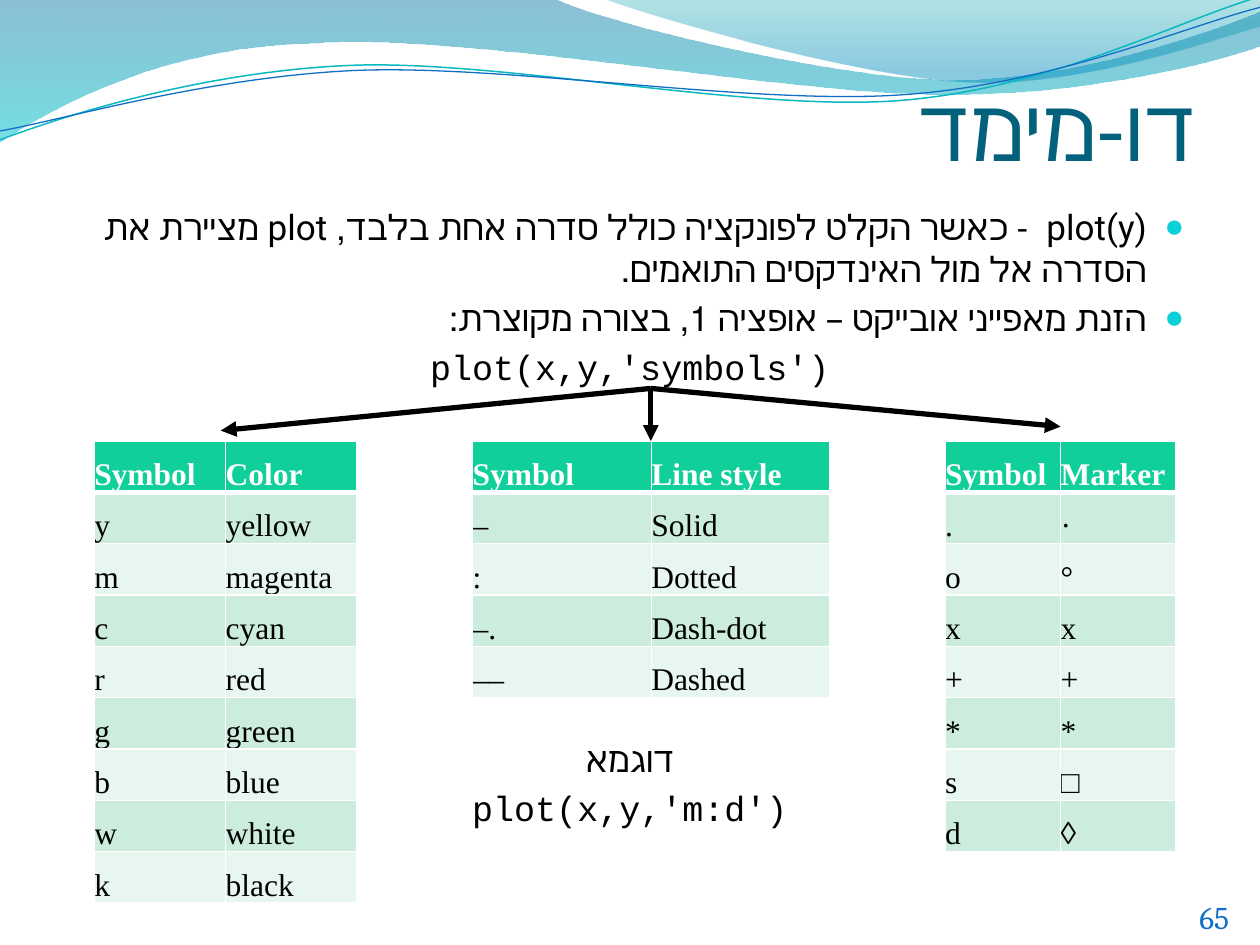
from dataclasses import dataclass

from lxml.etree import SubElement
from pptx import Presentation
from pptx.dml.color import RGBColor
from pptx.enum.shapes import MSO_CONNECTOR
from pptx.enum.text import MSO_ANCHOR, PP_ALIGN
from pptx.oxml.ns import qn
from pptx.util import Cm, Pt


@dataclass(frozen=True)
class Theme:
    """Colours, fonts and type sizes of the slide."""
    title: str = "04617B"
    text: str = "000000"
    bullet: str = "0BD0D9"
    number: str = "0F6FC6"
    teal_line: str = "0AB8BF"
    white: str = "FFFFFF"
    header: str = "10CF9B"
    bands: tuple = ("E7F6EF", "CCEDDE")
    broad_wave: tuple = ((0, "0074A1", 45), (1, "00C6CF", 55))
    right_wave: tuple = ((0, "00A1A9", 30), (0.8, "008BBF", 45))
    sans: str = "Roboto"
    mono: str = "Courier New"
    serif: str = "Times New Roman"
    number_font: str = "Cambria"
    title_size: int = 50
    body_size: int = 20
    small_size: int = 18


THEME = Theme()

BROAD_WAVE = [
    [(0, 0)], [(11.18, -0.03)],
    [(12.09, 0.43), (16.87, 1.6), (19.25, 1.6)],
    [(21.67, 1.6), (24.33, 0.66), (25.4, 0.23)],
    [(25.43, 0.91)],
    [(24.97, 1.12), (22.1, 1.93), (18.95, 1.9)],
    [(15.8, 1.9), (9.7, 0.71), (6.53, 0.86)],
    [(3.28, 0.91), (1.17, 2.11), (-0.03, 2.87)],
    [(0, 0)],
]
RIGHT_WAVE = [
    [(12.17, -0.03)],
    [(12.93, 0.28), (17.32, 1.57), (19.53, 1.65)],
    [(21.74, 1.75), (24.41, 0.81), (25.4, 0.53)],
    [(25.4, 0)], [(12.17, -0.03)],
]
TEAL_STRAND = [
    [(0, 2.82)],
    [(1.22, 2.36), (4.01, 1.45), (7.04, 1.32)],
    [(10.03, 1.19), (15.06, 2.26), (18.11, 2.03)],
    [(21.16, 1.8), (23.83, 0.38), (25.35, -0.05)],
]
BLUE_STRAND = [
    [(0, 2.64)],
    [(1.19, 2.44), (4.17, 1.55), (7.19, 1.42)],
    [(10.24, 1.3), (15.16, 2.13), (18.21, 1.91)],
    [(21.23, 1.7), (23.9, 0.53), (25.4, 0.15)],
]

COLORS = [("Symbol", "Color"), ("y", "yellow"), ("m", "magenta"), ("c", "cyan"),
          ("r", "red"), ("g", "green"), ("b", "blue"), ("w", "white"), ("k", "black")]
LINE_STYLES = [("Symbol", "Line style"), ("–", "Solid"), (":", "Dotted"),
               ("–.", "Dash-dot"), ("––", "Dashed")]
MARKERS = [("Symbol", "Marker"), (".", "·"), ("o", "°"), ("x", "x"),
           ("+", "+"), ("*", "*"), ("s", "□"), ("d", "◊")]


def rgb(color):
    """Turn a hex string into a colour."""
    return RGBColor.from_string(color)


def add_run(paragraph, text, font, size, color, bold=False):
    """Add one formatted run."""
    run = paragraph.add_run()
    run.text = text
    run.font.name, run.font.size, run.font.bold = font, Pt(size), bold
    run.font.color.rgb = rgb(color)


def add_outline(slide, outline, close):
    """Add a shadowless freeform, with each three-point part as a cubic curve."""
    start, *rest = [(Cm(x), Cm(y)) for part in outline for x, y in part]
    builder = slide.shapes.build_freeform(*start)
    builder.add_line_segments(rest, close=close)
    shape = builder.convert_to_shape()
    shape.shadow.inherit = False
    segments = iter(list(shape._element.iter(qn("a:lnTo"))))
    for part in outline[1:]:
        first, *others = [next(segments) for _ in part]
        if others:
            first.tag = qn("a:cubicBezTo")
            for segment in others:
                first.append(segment[0])
                segment.getparent().remove(segment)
    return shape


def add_wave(slide, outline, stops):
    """Add a translucent wave that is shaded from top to bottom."""
    wave = add_outline(slide, outline, True)
    wave.line.fill.background()
    wave.fill.gradient()
    wave.fill.gradient_angle = 270
    for stop, (position, color, _) in zip(wave.fill.gradient_stops, stops):
        stop.position = position
        stop.color.rgb = rgb(color)
    tints = wave._element.spPr.iter(qn("a:srgbClr"))
    for tint, (_, _, opacity) in zip(tints, stops):
        SubElement(tint, qn("a:alpha"), val=str(opacity * 1000))


def add_strand(slide, outline, color, width):
    """Add a thin curved line."""
    strand = add_outline(slide, outline, False)
    strand.fill.background()
    strand.line.color.rgb = rgb(color)
    strand.line.width = Pt(width)


def set_title(slide, text):
    """Place and format the title."""
    title = slide.shapes.title
    title.left, title.top, title.width, title.height = Cm(1.27), Cm(0), Cm(22.86), Cm(3.61)
    frame = title.text_frame
    frame.vertical_anchor = MSO_ANCHOR.BOTTOM
    frame.margin_left = frame.margin_right = frame.margin_bottom = 0
    paragraph = frame.paragraphs[0]
    paragraph.alignment = PP_ALIGN.RIGHT
    paragraph._p.get_or_add_pPr().set("rtl", "1")
    add_run(paragraph, text, THEME.sans, THEME.title_size, THEME.title)


def add_bullet(properties):
    """Give a paragraph a hanging coloured bullet."""
    properties.set("marL", str(Cm(0.76)))
    properties.set("indent", str(-Cm(0.76)))
    color = SubElement(properties, qn("a:buClr"))
    SubElement(color, qn("a:srgbClr"), val=THEME.bullet)
    SubElement(properties, qn("a:buSzPct"), val="95000")
    SubElement(properties, qn("a:buFont"), typeface=THEME.serif)
    SubElement(properties, qn("a:buChar"), char="●")


def add_body(slide, lines):
    """Add the right-to-left text from (text, font, bulleted, space before) lines."""
    frame = slide.shapes.add_textbox(Cm(1.27), Cm(4.01), Cm(22.86), Cm(13.54)).text_frame
    frame.word_wrap = True
    for index, (text, font, bulleted, space) in enumerate(lines):
        paragraph = frame.add_paragraph() if index else frame.paragraphs[0]
        paragraph.alignment = PP_ALIGN.RIGHT if bulleted else PP_ALIGN.CENTER
        paragraph.space_before = Pt(space)
        properties = paragraph._p.get_or_add_pPr()
        properties.set("rtl", "1")
        if bulleted:
            add_bullet(properties)
        add_run(paragraph, text, font, THEME.body_size, THEME.text)


def set_borders(cell, row):
    """Draw white cell borders, thicker below the header row."""
    widths = {"L": 1, "R": 1, "T": 3 if row == 1 else 1, "B": 3 if row == 0 else 1}
    for side, width in widths.items():
        border = SubElement(cell._tc.get_or_add_tcPr(), qn(f"a:ln{side}"), w=str(Pt(width)))
        SubElement(SubElement(border, qn("a:solidFill")), qn("a:srgbClr"), val=THEME.white)


def add_symbol_table(slide, rows, left, column_width):
    """Add a two-column table of symbols and their meaning."""
    table = slide.shapes.add_table(len(rows), 2, Cm(left), Cm(8.89), Cm(2 * column_width),
                                   Cm(1.035 * len(rows))).table
    for row, entries in enumerate(rows):
        for column, text in enumerate(entries):
            cell = table.cell(row, column)
            cell.margin_left = cell.margin_right = cell.margin_top = cell.margin_bottom = 0
            cell.vertical_anchor = MSO_ANCHOR.BOTTOM
            set_borders(cell, row)
            cell.fill.solid()
            cell.fill.fore_color.rgb = rgb(THEME.bands[row % 2] if row else THEME.header)
            add_run(cell.text_frame.paragraphs[0], text, THEME.serif, THEME.small_size,
                    THEME.text if row else THEME.white, bold=row == 0)


def add_arrow(slide, x, y):
    """Add an arrow from the plot command to a table."""
    arrow = slide.shapes.add_connector(MSO_CONNECTOR.STRAIGHT, Cm(13.12), Cm(7.83), Cm(x), Cm(y))
    arrow.line.color.rgb = rgb(THEME.text)
    arrow.line.width = Pt(3)
    SubElement(arrow.line._get_or_add_ln(), qn("a:tailEnd"), type="triangle")
    SubElement(arrow._element.spPr, qn("a:effectLst"))


def add_page_number(slide, number):
    """Add the page number in the lower right corner."""
    frame = slide.shapes.add_textbox(Cm(23.93), Cm(17.98), Cm(1.47), Cm(1.02)).text_frame
    frame.word_wrap = True
    add_run(frame.paragraphs[0], number, THEME.number_font, THEME.small_size, THEME.number)


def main():
    """Build the slide and save it."""
    presentation = Presentation()
    presentation.slide_width, presentation.slide_height = Cm(25.4), Cm(19.05)
    slide = presentation.slides.add_slide(presentation.slide_layouts[5])
    add_wave(slide, BROAD_WAVE, THEME.broad_wave)
    add_wave(slide, RIGHT_WAVE, THEME.right_wave)
    add_strand(slide, TEAL_STRAND, THEME.teal_line, 0.85)
    add_strand(slide, BLUE_STRAND, THEME.number, 0.75)
    add_page_number(slide, "65")
    set_title(slide, "דו-מימד")
    add_body(slide, [
        ("plot(y)  - כאשר הקלט לפונקציה כולל סדרה אחת בלבד, plot מציירת את הסדרה "
         "אל מול האינדקסים התואמים.", THEME.sans, True, 4),
        ("הזנת מאפייני אובייקט – אופציה 1, בצורה מקוצרת:", THEME.sans, True, 4),
        ("plot(x,y,'symbols')", THEME.mono, False, 4),
        ("דוגמא", THEME.mono, False, 200),
        ("plot(x,y,'m:d')", THEME.mono, False, 4),
    ])
    add_symbol_table(slide, COLORS, 1.9, 2.65)
    add_symbol_table(slide, LINE_STYLES, 9.53, 3.6)
    add_symbol_table(slide, MARKERS, 19.05, 2.33)
    for x, y in ((21.38, 8.6), (13.12, 8.89), (4.45, 8.68)):
        add_arrow(slide, x, y)
    presentation.save("out.pptx")


if __name__ == "__main__":
    main()
